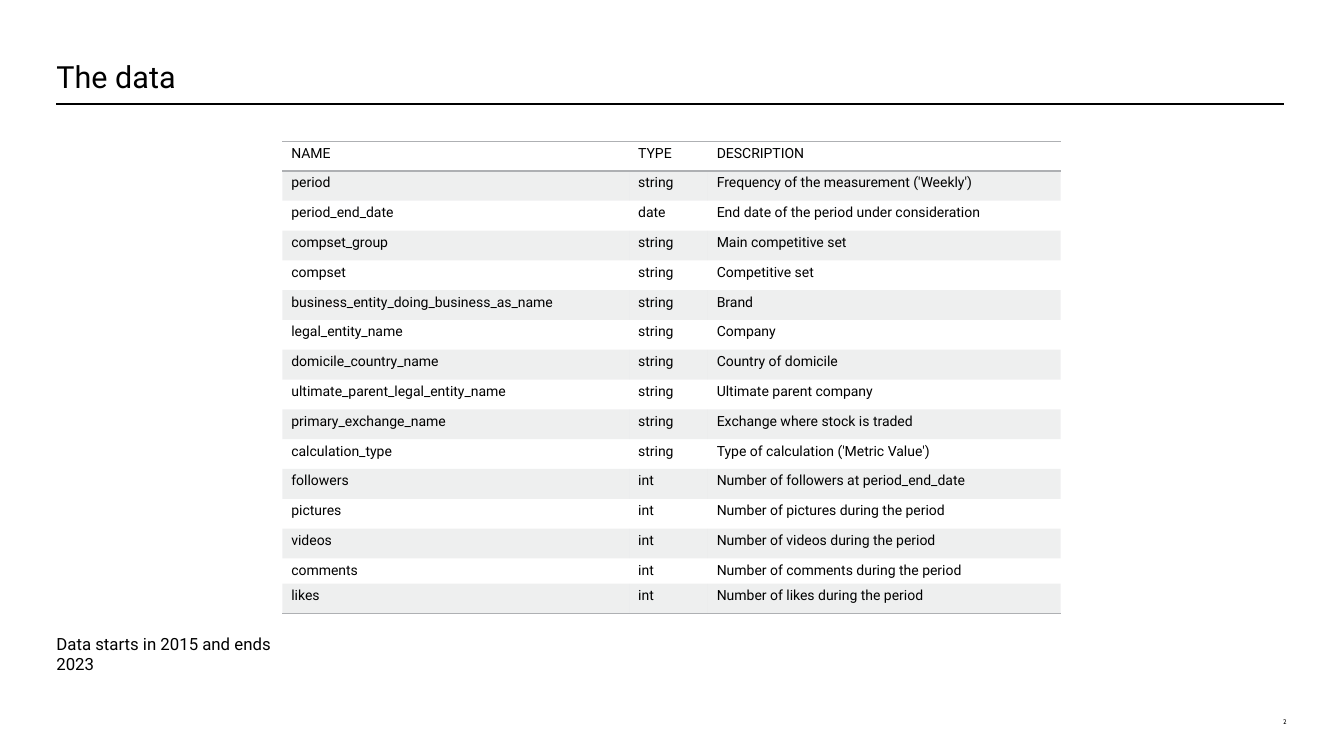
"""Build the slide that lists the fields of the data set."""
import dataclasses

import lxml.etree
import pptx
import pptx.dml.color
import pptx.enum.shapes
import pptx.enum.text
import pptx.oxml.ns
import pptx.util

Inches = pptx.util.Inches
Pt = pptx.util.Pt
qn = pptx.oxml.ns.qn
Align = pptx.enum.text.PP_ALIGN
Anchor = pptx.enum.text.MSO_ANCHOR


@dataclasses.dataclass(frozen=True)
class Theme:
    ink: str = "000000"
    paper: str = "FFFFFF"
    gray: str = "AEB0B3"
    band_alpha: int = 20
    font: str = "Roboto"
    number_font: str = "Cabin"
    title: float = 21.8
    note: float = 12
    cell: float = 10
    number: float = 4.8
    rule: float = 1
    border: float = 1


THEME = Theme()
NO_TABLE_STYLE = "{2D5ABB26-0587-4C30-8999-92F81FD0307C}"
LEFT, WIDTH = 0.56, 12.18
COLUMNS = (3.44, 0.78, 3.5)
TABLE_HEIGHT = 4.69
SHORT_ROW, SHORT_HEIGHT = 14, 0.25
FIELDS = (
    ("NAME", "TYPE", "DESCRIPTION"),
    ("period", "string", "Frequency of the measurement ('Weekly')"),
    ("period_end_date", "date", "End date of the period under consideration"),
    ("compset_group", "string", "Main competitive set"),
    ("compset", "string", "Competitive set"),
    ("business_entity_doing_business_as_name", "string", "Brand"),
    ("legal_entity_name", "string", "Company"),
    ("domicile_country_name", "string", "Country of domicile"),
    ("ultimate_parent_legal_entity_name", "string", "Ultimate parent company"),
    ("primary_exchange_name", "string", "Exchange where stock is traded"),
    ("calculation_type", "string", "Type of calculation ('Metric Value')"),
    ("followers", "int", "Number of followers at period_end_date"),
    ("pictures", "int", "Number of pictures during the period"),
    ("videos", "int", "Number of videos during the period"),
    ("comments", "int", "Number of comments during the period"),
    ("likes", "int", "Number of likes during the period"),
)


def rgb(color):
    """Turn a hex string into a colour."""
    return pptx.dml.color.RGBColor.from_string(color)


def write(tf, text, size, font=THEME.font, align=Align.LEFT):
    """Write one run in the first paragraph and return that paragraph."""
    p = tf.paragraphs[0]
    p.alignment = align
    r = p.add_run()
    r.text = text
    r.font.size = Pt(size)
    r.font.name = font
    r.font.color.rgb = rgb(THEME.ink)
    return p


def add_text(s, box, text, size, anchor=Anchor.BOTTOM, **style):
    """Add a text box without margins and return it with its paragraph."""
    sp = s.shapes.add_textbox(*map(Inches, box))
    tf = sp.text_frame
    tf.word_wrap = True
    tf.vertical_anchor = anchor
    tf.margin_left = tf.margin_right = tf.margin_top = tf.margin_bottom = 0
    return sp, write(tf, text, size, **style)


def add_rule(s, y):
    """Draw the horizontal line under the title."""
    line = s.shapes.add_connector(
        pptx.enum.shapes.MSO_CONNECTOR.STRAIGHT,
        Inches(LEFT), Inches(y), Inches(LEFT + WIDTH), Inches(y))
    line.line.color.rgb = rgb(THEME.ink)
    line.line.width = Pt(THEME.rule)
    lxml.etree.SubElement(line._element.spPr, qn("a:effectLst"))


def add_border(cell, side):
    """Add a gray border on one side of a cell."""
    ln = lxml.etree.SubElement(cell._tc.get_or_add_tcPr(), qn(f"a:{side}"),
                               w=str(Pt(THEME.border)))
    fill = lxml.etree.SubElement(ln, qn("a:solidFill"))
    lxml.etree.SubElement(fill, qn("a:srgbClr"), val=THEME.gray)


def fill_band(cell):
    """Fill a cell with translucent gray."""
    cell.fill.solid()
    cell.fill.fore_color.rgb = rgb(THEME.gray)
    color = cell._tc.tcPr.find(qn("a:solidFill")).find(qn("a:srgbClr"))
    lxml.etree.SubElement(color, qn("a:alpha"), val=str(THEME.band_alpha * 1000))


def format_cell(cell, row, text):
    """Write a cell and give it the borders and fill of its row."""
    cell.margin_left = cell.margin_right = Inches(0.09)
    cell.margin_top = cell.margin_bottom = Inches(0.04)
    write(cell.text_frame, text, THEME.cell)
    if row == 0:
        add_border(cell, "lnT")
    if row in (0, len(FIELDS) - 1):
        add_border(cell, "lnB")
    if row % 2:
        fill_band(cell)
    else:
        cell.fill.background()


def add_field_table(s):
    """Add the table of field names, types and descriptions."""
    frame = s.shapes.add_table(len(FIELDS), len(COLUMNS), Inches(2.8), Inches(1.4),
                               Inches(sum(COLUMNS)), Inches(TABLE_HEIGHT))
    table = frame.table
    table.horz_banding = False
    table._tbl.tblPr.find(qn("a:tableStyleId")).text = NO_TABLE_STYLE
    for column, width in zip(table.columns, COLUMNS):
        column.width = Inches(width)
    row_height = (TABLE_HEIGHT - SHORT_HEIGHT) / (len(FIELDS) - 1)
    for i, texts in enumerate(FIELDS):
        table.rows[i].height = Inches(SHORT_HEIGHT if i == SHORT_ROW else row_height)
        for j, text in enumerate(texts):
            format_cell(table.cell(i, j), i, text)


def main():
    """Build and save the slide."""
    prs = pptx.Presentation()
    prs.slide_width, prs.slide_height = Inches(13.33), Inches(7.5)
    s = prs.slides.add_slide(prs.slide_layouts[6])
    add_rule(s, 1.03)
    add_text(s, (12.21, 6.82, 0.55, 0.38), "2", THEME.number,
             font=THEME.number_font, align=Align.RIGHT)
    _, title = add_text(s, (LEFT, 0, WIDTH, 0.94), "The data", THEME.title)
    title.line_spacing = Pt(THEME.title)
    add_field_table(s)
    note, _ = add_text(s, (LEFT, 6.29, 2.5, 0.4), "Data starts in 2015 and ends 2023",
                       THEME.note, anchor=Anchor.MIDDLE)
    note.fill.solid()
    note.fill.fore_color.rgb = rgb(THEME.paper)
    prs.save("out.pptx")


if __name__ == "__main__":
    main()
